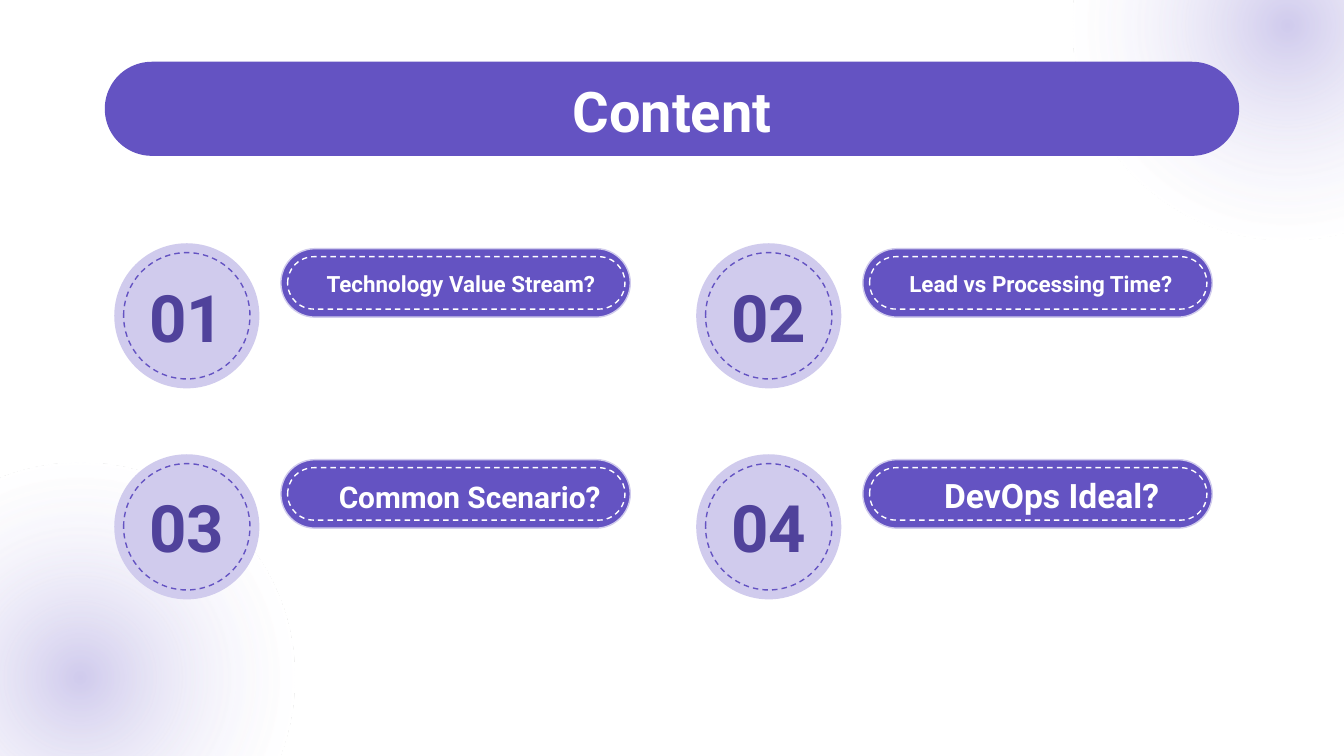
from lxml import etree
from pptx import Presentation
from pptx.dml.color import RGBColor
from pptx.enum.dml import MSO_LINE
from pptx.enum.shapes import MSO_SHAPE
from pptx.enum.text import MSO_ANCHOR, MSO_AUTO_SIZE, PP_ALIGN
from pptx.oxml import parse_xml
from pptx.util import Inches, Pt

OVAL, PILL = MSO_SHAPE.OVAL, MSO_SHAPE.ROUNDED_RECTANGLE
DASH = MSO_LINE.DASH
CENTER, NO_FIT = PP_ALIGN.CENTER, MSO_AUTO_SIZE.NONE
TOP, MIDDLE, BOTTOM = MSO_ANCHOR.TOP, MSO_ANCHOR.MIDDLE, MSO_ANCHOR.BOTTOM
PURPLE, DARK, LILAC, WHITE = "6453C2", "50429B", "D0CBED", "FFFFFF"
FONT = "Roboto"

TITLE = "Content"
TOPICS = [
    {"label": "Technology Value Stream?", "size": 12, "box": (1.22, 0.09, 2.72, 0.41)},
    {"label": "Lead vs Processing Time?", "size": 12, "box": (1.24, 0.11, 2.65, 0.39)},
    {"label": "Common Scenario?", "size": 16, "box": (1.32, 0.16, 2.65, 0.39)},
    {"label": "DevOps Ideal?", "size": 18, "box": (1.32, 0.16, 2.65, 0.39)},
]
GLOWS = [(-1, 3.44, 3.19, 3.19), (7.98, -1.41, 3.19, 3.19)]
GLOW_STOPS = [(0, LILAC, 100), (72, WHITE, 27), (100, WHITE, 100)]
SLIDE_WIDTH = 10
SLIDE_HEIGHT = SLIDE_WIDTH * 9 / 16
COLUMNS = 2
GRID_LEFT, GRID_TOP = 0.85, 1.81
COLUMN_STEP, ROW_STEP = 4.33, 1.57
DRAWING = "http://schemas.openxmlformats.org/drawingml/2006/main"


def color(value):
    """Turn a hex string into a colour."""
    return RGBColor.from_string(value)


def add_outline(slide, kind, box, fill=None, line=None, dash=None):
    """Add a preset shape with an optional fill and line."""
    shape = slide.shapes.add_shape(kind, *map(Inches, box))
    shape.shadow.inherit = False
    if kind == PILL:
        shape.adjustments[0] = 0.5
    if fill:
        shape.fill.solid()
        shape.fill.fore_color.rgb = color(fill)
    else:
        shape.fill.background()
    if line:
        shape.line.color.rgb = color(line)
        shape.line.width = Pt(0.75)
        shape.line.dash_style = dash
    else:
        shape.line.fill.background()
    return shape


def add_glow(slide, box):
    """Add a circle with a radial gradient fading to white."""
    shape = add_outline(slide, OVAL, box)
    stops = "".join(
        f'<a:gs pos="{position * 1000}"><a:srgbClr val="{value}">'
        f'<a:alpha val="{alpha * 1000}"/></a:srgbClr></a:gs>'
        for position, value, alpha in GLOW_STOPS
    )
    gradient = parse_xml(
        f'<a:gradFill xmlns:a="{DRAWING}"><a:gsLst>{stops}</a:gsLst><a:path path="circle">'
        '<a:fillToRect l="50000" t="50000" r="50000" b="50000"/></a:path></a:gradFill>'
    )
    empty_fill = shape.element.spPr.find(etree.QName(DRAWING, "noFill").text)
    empty_fill.getparent().replace(empty_fill, gradient)


def write_text(shape, text, size, fill=WHITE, anchor=BOTTOM):
    """Write one bold centred line into a shape."""
    frame = shape.text_frame
    frame.auto_size = NO_FIT
    frame.word_wrap = True
    frame.vertical_anchor = anchor
    frame.margin_left = frame.margin_right = Inches(0.1)
    frame.margin_top = frame.margin_bottom = Inches(0.1)
    paragraph = frame.paragraphs[0]
    paragraph.alignment = CENTER
    run = paragraph.add_run()
    run.text = text
    run.font.name = FONT
    run.font.size = Pt(size)
    run.font.bold = True
    run.font.color.rgb = color(fill)


def add_topic(slide, index, topic):
    """Add a numbered circle and its label pill in the grid."""
    row, column = divmod(index, COLUMNS)
    left = GRID_LEFT + column * COLUMN_STEP
    top = GRID_TOP + row * ROW_STEP

    def place(x, y, width, height):
        """Shift a box from the cell origin to the slide."""
        return left + x, top + y, width, height

    add_outline(slide, PILL, place(1.24, 0.04, 2.6, 0.51), fill=PURPLE, line=LILAC)
    add_outline(slide, PILL, place(1.29, 0.1, 2.51, 0.39), line=WHITE, dash=DASH)
    add_outline(slide, OVAL, place(0, 0, 1.08, 1.08), fill=LILAC)
    add_outline(slide, OVAL, place(0.07, 0.07, 0.94, 0.94), line=PURPLE, dash=DASH)
    label = slide.shapes.add_textbox(*map(Inches, place(*topic["box"])))
    write_text(label, topic["label"], topic["size"])
    number = slide.shapes.add_textbox(*map(Inches, place(0.11, 0.28, 0.86, 0.52)))
    write_text(number, f"{index + 1:02}", 35, fill=DARK, anchor=MIDDLE)


def add_title(slide):
    """Put the title placeholder in front of its banner."""
    add_outline(slide, PILL, (0.78, 0.46, 8.44, 0.7), fill=PURPLE)
    title = slide.shapes.title
    title.left, title.top, title.width, title.height = map(Inches, (0.78, 0.47, 8.44, 0.56))
    write_text(title, TITLE, 30, anchor=TOP)
    title.element.getparent().append(title.element)


def main():
    """Build and save the presentation."""
    presentation = Presentation()
    presentation.slide_width = Inches(SLIDE_WIDTH)
    presentation.slide_height = Inches(SLIDE_HEIGHT)
    slide = presentation.slides.add_slide(presentation.slide_layouts[5])
    for box in GLOWS:
        add_glow(slide, box)
    add_title(slide)
    for index, topic in enumerate(TOPICS):
        add_topic(slide, index, topic)
    presentation.save("out.pptx")


if __name__ == "__main__":
    main()
